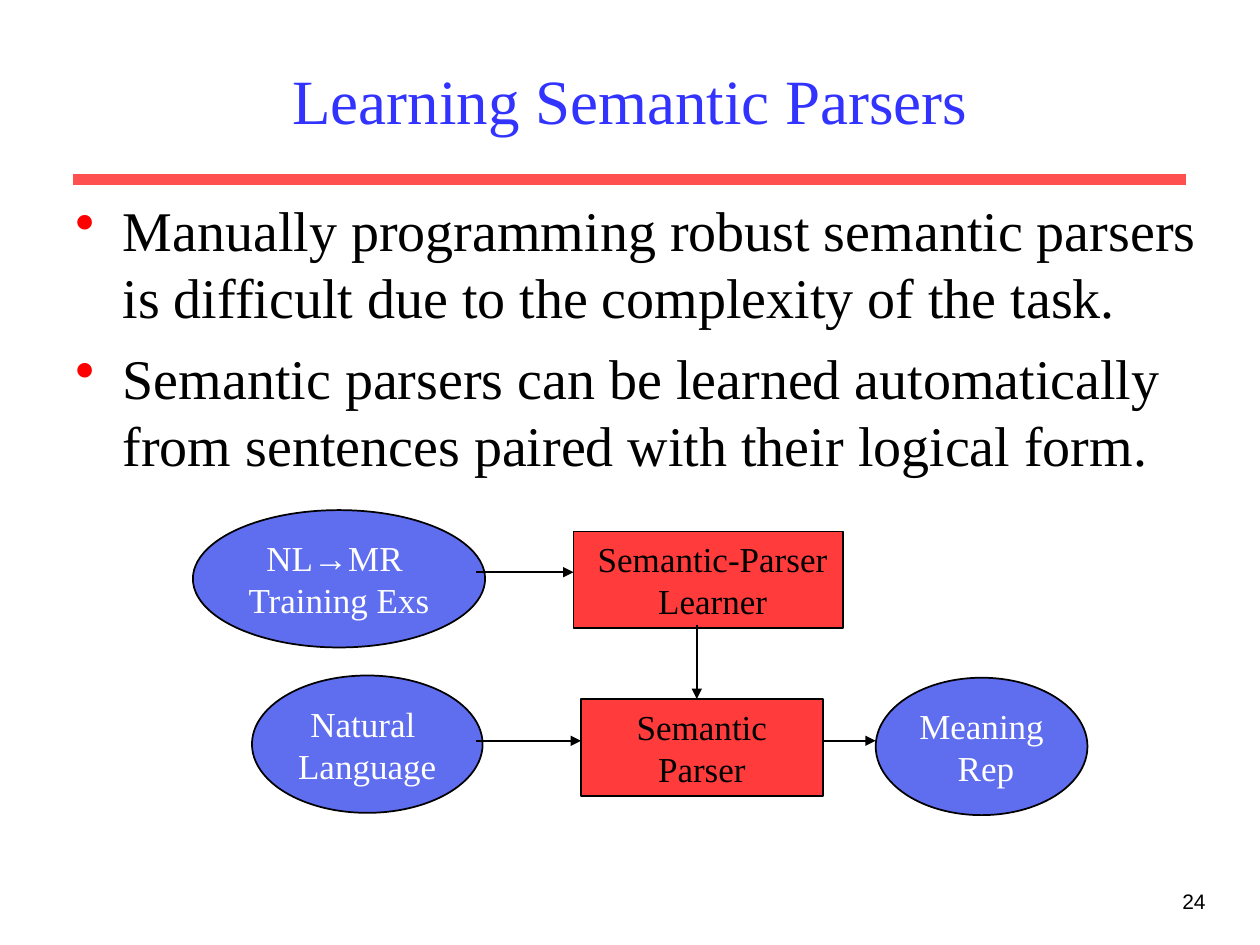
from pptx import Presentation
from pptx.dml.color import RGBColor
from pptx.enum.shapes import MSO_CONNECTOR, MSO_SHAPE
from pptx.enum.text import MSO_ANCHOR, PP_ALIGN
from pptx.oxml.ns import qn
from pptx.util import Pt
from lxml import etree

STRAIGHT = MSO_CONNECTOR.STRAIGHT
OVAL, RECTANGLE = MSO_SHAPE.OVAL, MSO_SHAPE.RECTANGLE
MIDDLE = MSO_ANCHOR.MIDDLE
CENTER, RIGHT = PP_ALIGN.CENTER, PP_ALIGN.RIGHT

BLACK = RGBColor(0x00, 0x00, 0x00)
WHITE = RGBColor(0xFF, 0xFF, 0xFF)
TITLE_BLUE = RGBColor(0x33, 0x33, 0xFF)
RULE_RED = RGBColor(0xFF, 0x50, 0x50)
DATA_BLUE = RGBColor(0x5F, 0x6D, 0xEF)
PROCESS_RED = RGBColor(0xFF, 0x3B, 0x3B)
SERIF, SANS = "Times New Roman", "Arial"

BULLETS = [
    "Manually programming robust semantic parsers is difficult due to the complexity of the task.",
    "Semantic parsers can be learned automatically from sentences paired with their logical form.",
]


def set_font(font, size, color, name=SERIF):
    """Set the size, colour and typeface of a font."""
    font.size, font.name = Pt(size), name
    font.color.rgb = color


def add_line(slide, start, end, color=BLACK, width=1, arrow=False):
    """Draw a straight line between two points, with an optional arrowhead."""
    line = slide.shapes.add_connector(STRAIGHT, *map(Pt, start + end))
    line.line.color.rgb = color
    line.line.width = Pt(width)
    if arrow:
        etree.SubElement(line.line._get_or_add_ln(), qn("a:tailEnd"), type="triangle")
    etree.SubElement(line._element.spPr, qn("a:effectLst"))


def add_heading(slide, left, top, width, height):
    """Place the title in its box, with the red rule below it."""
    title = slide.shapes.title
    title.left, title.top, title.width, title.height = map(Pt, (left, top, width, height))
    frame = title.text_frame
    frame.text = "Learning Semantic Parsers"
    frame.vertical_anchor = MIDDLE
    paragraph = frame.paragraphs[0]
    paragraph.alignment = CENTER
    set_font(paragraph.font, 36, TITLE_BLUE)
    rule_y = top + height + 6.5
    add_line(slide, (left - 12, rule_y), (left + width + 12, rule_y), RULE_RED, 6)


def add_bullets(slide, left, top, width, height):
    """Place the bulleted statements."""
    frame = slide.shapes.add_textbox(*map(Pt, (left, top, width, height))).text_frame
    frame.word_wrap = True
    for index, text in enumerate(BULLETS):
        paragraph = frame.add_paragraph() if index else frame.paragraphs[0]
        paragraph.text = text
        properties = paragraph._p.get_or_add_pPr()
        properties.set("marL", str(Pt(27)))
        properties.set("indent", str(Pt(-27)))
        if index:
            paragraph.space_before = Pt(8)
        color = etree.SubElement(properties, qn("a:buClr"))
        etree.SubElement(color, qn("a:srgbClr"), val="FF0000")
        etree.SubElement(properties, qn("a:buChar"), char="•")
        set_font(paragraph.font, 32, BLACK)


def add_node(slide, kind, box, lines):
    """Draw an outlined data ellipse or process rectangle with centred lines."""
    is_data = kind == OVAL
    shape = slide.shapes.add_shape(kind, *map(Pt, box))
    shape.shadow.inherit = False
    shape.fill.solid()
    shape.fill.fore_color.rgb = DATA_BLUE if is_data else PROCESS_RED
    shape.line.color.rgb = BLACK
    shape.line.width = Pt(1)
    frame = shape.text_frame
    frame.word_wrap = not is_data
    frame.vertical_anchor = MIDDLE
    for index, text in enumerate(lines):
        paragraph = frame.add_paragraph() if index else frame.paragraphs[0]
        paragraph.alignment = CENTER
        set_font(paragraph.font, 20, WHITE if is_data else BLACK)
        before, arrow, after = text.partition("→")
        for part, name in ((before, SERIF), (arrow, SANS), (after, SERIF)):
            if part:
                run = paragraph.add_run()
                run.text = part
                run.font.name = name


def add_diagram(slide, left, top):
    """Draw the learner and parser flow from its top-left corner."""
    nodes = [
        (OVAL, (0, 0, 167, 78.5), ("NL→MR ", "Training Exs")),
        (RECTANGLE, (217.5, 12.2, 154.1, 55.4), (" Semantic-Parser", " Learner")),
        (OVAL, (33.8, 94.5, 131.8, 78.5), ("Natural ", "Language")),
        (OVAL, (390.2, 95.8, 121, 78.5), ("Meaning", " Rep")),
        (RECTANGLE, (221.8, 108, 138.2, 55.4), ("Semantic", "Parser")),
    ]
    arrows = [
        ((162, 35.5), (217.5, 35.5)),
        ((162, 131.8), (221.8, 131.8)),
        ((360, 131.8), (390.2, 131.8)),
        ((288, 65.5), (288, 108)),
    ]
    for kind, (x, y, width, height), lines in nodes:
        add_node(slide, kind, (left + x, top + y, width, height), lines)
    for start, end in arrows:
        add_line(slide, *((left + x, top + y) for x, y in (start, end)), arrow=True)


def add_page_number(slide, left, top, width, height):
    """Place the page number at the right of its box."""
    frame = slide.shapes.add_textbox(*map(Pt, (left, top, width, height))).text_frame
    frame.word_wrap = True
    paragraph = frame.paragraphs[0]
    paragraph.text = "24"
    paragraph.alignment = RIGHT
    set_font(paragraph.font, 12, BLACK, SANS)


def main():
    """Build and save the slide."""
    presentation = Presentation()
    presentation.slide_width, presentation.slide_height = Pt(720), Pt(540)
    slide = presentation.slides.add_slide(presentation.slide_layouts[5])
    add_heading(slide, 54, 18, 612, 78)
    add_bullets(slide, 36, 108, 660, 408)
    add_diagram(slide, 110.2, 291.5)
    add_page_number(slide, 546, 504, 150, 36)
    presentation.save("out.pptx")


if __name__ == "__main__":
    main()
